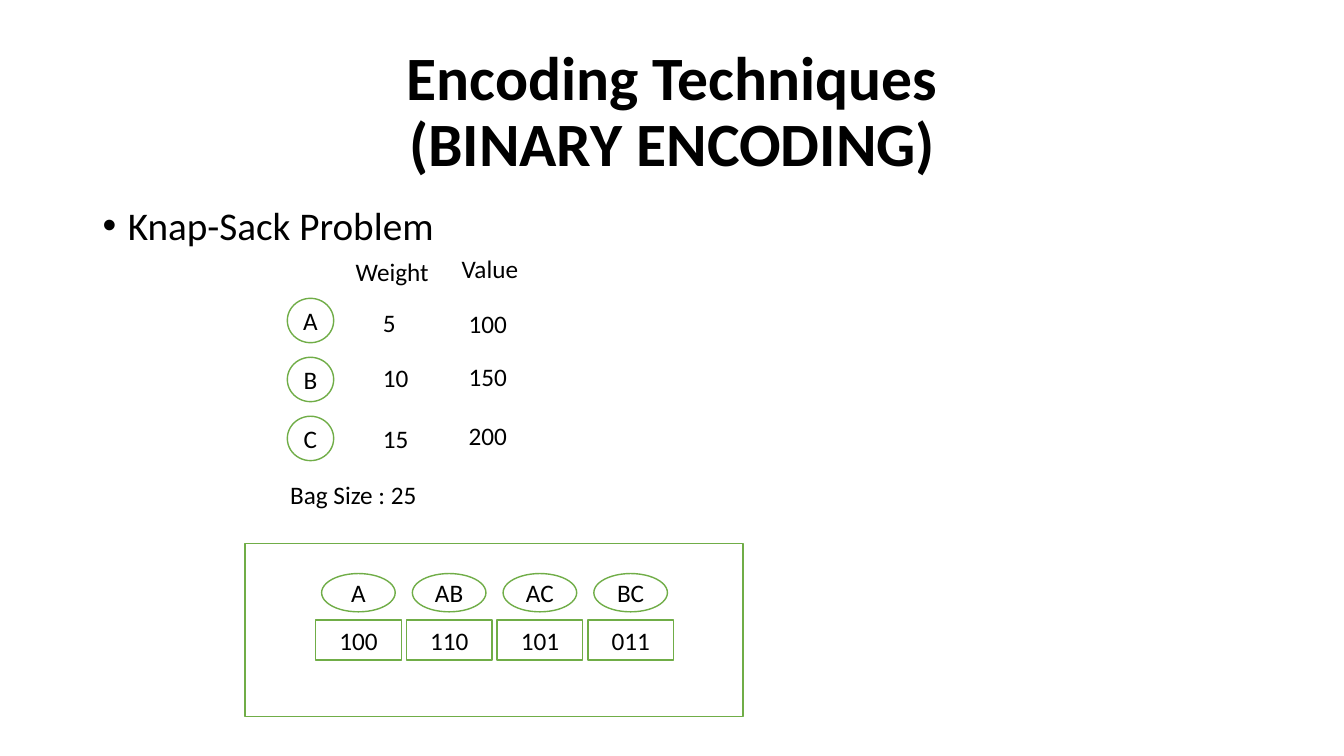
"""Build the binary encoding slide with the knapsack example."""
from lxml import etree
from pptx import Presentation
from pptx.dml.color import RGBColor
from pptx.enum.shapes import MSO_SHAPE
from pptx.enum.text import MSO_ANCHOR, PP_ALIGN
from pptx.oxml.ns import qn
from pptx.util import Inches, Pt

BLACK = RGBColor(0x00, 0x00, 0x00)
WHITE = RGBColor(0xFF, 0xFF, 0xFF)
GREEN = RGBColor(0x70, 0xAD, 0x47)
FONT = "Calibri"
TITLE_ONLY = 5
RECT, OVAL, CONNECTOR = MSO_SHAPE.RECTANGLE, MSO_SHAPE.OVAL, MSO_SHAPE.FLOWCHART_CONNECTOR
LEFT, CENTER = PP_ALIGN.LEFT, PP_ALIGN.CENTER
TOP, MIDDLE = MSO_ANCHOR.TOP, MSO_ANCHOR.MIDDLE

ITEMS = [("A", "5", 3, "100", 3.01), ("B", "10", 3.55, "150", 3.54), ("C", "15", 4.15, "200", 4.12)]
ENCODINGS = [("A", "100"), ("AB", "110"), ("AC", "101"), ("BC", "011")]


def write(tf, text, size=18, bold=False, align=LEFT, anchor=TOP, spacing=1.0, bullet=False):
    """Fill a text frame with one formatted paragraph."""
    tf.word_wrap = True
    tf.vertical_anchor = anchor
    p = tf.paragraphs[0]
    p.alignment = align
    p.line_spacing = spacing
    if bullet:
        pPr = p._p.get_or_add_pPr()
        pPr.set("marL", str(Inches(0.25)))
        pPr.set("indent", str(Inches(-0.25)))
        etree.SubElement(pPr, qn("a:buFont"), typeface="Arial")
        etree.SubElement(pPr, qn("a:buChar"), char="•")
    for i, line in enumerate(text.split("\n")):
        if i:
            p.add_line_break()
        r = p.add_run()
        r.text = line
        r.font.name = FONT
        r.font.size = Pt(size)
        r.font.bold = bold
        r.font.color.rgb = BLACK


def add_label(shapes, text, x, y, w, h=0.4, **fmt):
    """Add a text box."""
    box = shapes.add_textbox(Inches(x), Inches(y), Inches(w), Inches(h))
    write(box.text_frame, text, **fmt)


def add_outlined(shapes, kind, x, y, w, h, text=""):
    """Add a white shape with a green outline and optional centred text."""
    sp = shapes.add_shape(kind, Inches(x), Inches(y), Inches(w), Inches(h))
    sp.shadow.inherit = False
    sp.fill.solid()
    sp.fill.fore_color.rgb = WHITE
    sp.line.color.rgb = GREEN
    sp.line.width = Pt(1)
    if text:
        tf = sp.text_frame
        tf.margin_left = tf.margin_right = tf.margin_top = tf.margin_bottom = 0
        write(tf, text, align=CENTER, anchor=MIDDLE)


def add_title(s, text):
    """Place and fill the title placeholder."""
    title = s.shapes.title
    title.left, title.top = Inches(0.92), Inches(0.4)
    title.width, title.height = Inches(11.5), Inches(1.45)
    write(title.text_frame, text, size=44, bold=True, align=CENTER, anchor=MIDDLE, spacing=0.9)


def add_encodings(shapes):
    """Add the frame with each item set above its bit string."""
    add_outlined(shapes, RECT, 2.43, 5.39, 4.94, 1.72)
    for i, (items, bits) in enumerate(ENCODINGS):
        x = 3.13 + 0.9 * i
        add_outlined(shapes, RECT, x, 6.15, 0.85, 0.4, bits)
        add_outlined(shapes, OVAL, x + 0.06, 5.69, 0.73, 0.38, items)


def add_items(shapes):
    """Add the items with their weights and values, and the bag size."""
    add_label(shapes, "Weight", 3.31, 2.49, 1.16, align=CENTER)
    add_label(shapes, "Value", 4.48, 2.46, 0.85)
    for i, (name, weight, weight_y, value, value_y) in enumerate(ITEMS):
        add_outlined(shapes, CONNECTOR, 2.85, 2.96 + 0.585 * i, 0.46, 0.44, name)
        add_label(shapes, weight, 3.7, weight_y, 0.85)
        add_label(shapes, value, 4.55, value_y, 0.85)
    add_label(shapes, "Bag Size : 25", 2.78, 4.71, 1.56)


def main():
    """Build and save the slide."""
    prs = Presentation()
    prs.slide_width, prs.slide_height = Inches(13.33), Inches(7.5)
    s = prs.slides.add_slide(prs.slide_layouts[TITLE_ONLY])
    add_title(s, "Encoding Techniques\n(BINARY ENCODING)")
    add_label(s.shapes, "Knap-Sack Problem", 0.92, 2, 11.5, 0.5, size=28, spacing=0.9, bullet=True)
    add_encodings(s.shapes.add_group_shape().shapes)
    add_items(s.shapes.add_group_shape().shapes)
    prs.save("out.pptx")


if __name__ == "__main__":
    main()
